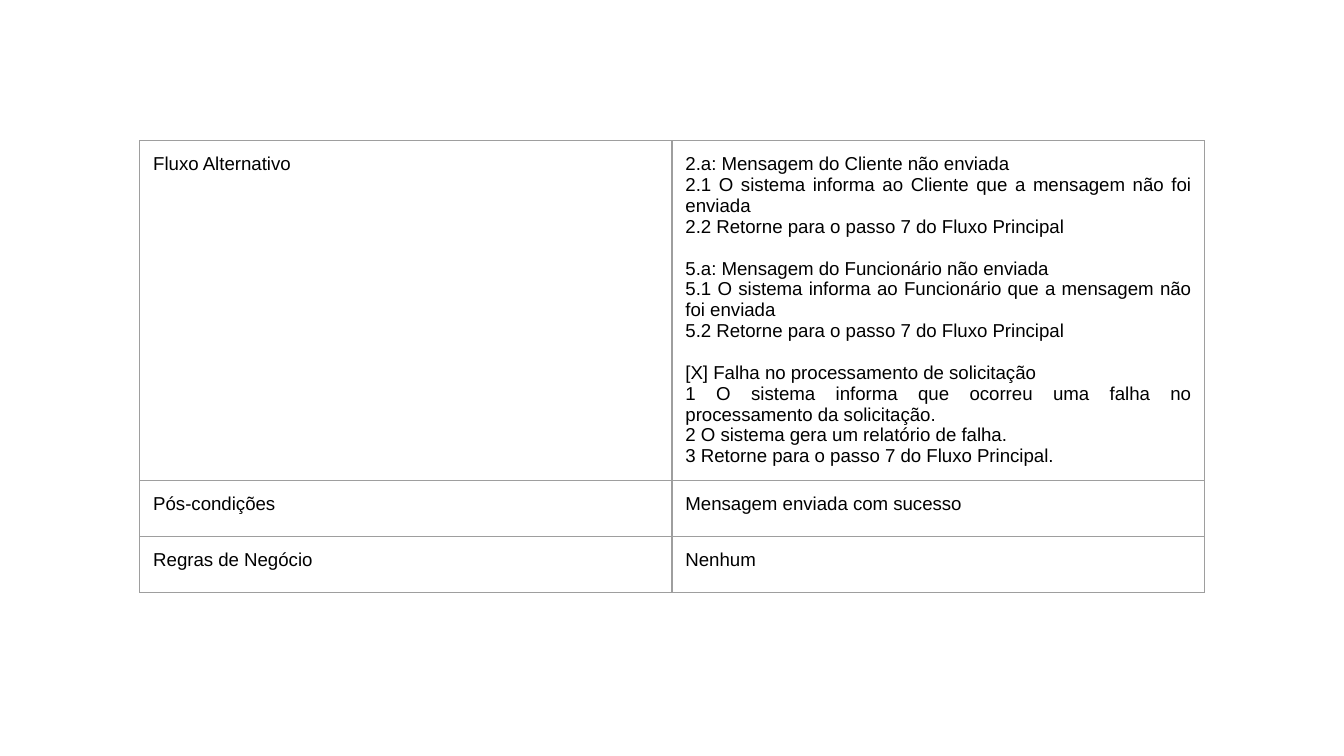
import pptx
import pptx.util
import pptx.dml.color
import pptx.enum.text
import pptx.oxml
import pptx.oxml.ns
import lxml.etree

COLORS = {"text": "000000", "border": "9E9E9E"}
FONT = {"name": "Arial", "size": pptx.util.Pt(10)}
MARGINS = {f"margin_{side}": pptx.util.Inches(0.1)
           for side in ("left", "right", "top", "bottom")}
LINE = pptx.util.Pt(11.2)

# Each row: share of the slide height, label, groups of lines set apart by one line
ROWS = [
    (0.449, "Fluxo Alternativo", [
        ["2.a: Mensagem do Cliente não enviada",
         "2.1 O sistema informa ao Cliente que a mensagem não foi enviada",
         "2.2 Retorne para o passo 7 do Fluxo Principal"],
        ["5.a: Mensagem do Funcionário não enviada",
         "5.1 O sistema informa ao Funcionário que a mensagem não foi enviada",
         "5.2 Retorne para o passo 7 do Fluxo Principal"],
        ["[X] Falha no processamento de solicitação",
         "1 O sistema informa que ocorreu uma falha no processamento da solicitação.",
         "2 O sistema gera um relatório de falha.",
         "3 Retorne para o passo 7 do Fluxo Principal."],
    ]),
    (0.074, "Pós-condições", [["Mensagem enviada com sucesso"]]),
    (0.074, "Regras de Negócio", [["Nenhum"]]),
]


def add_borders(cell):
    tcPr = cell._tc.get_or_add_tcPr()
    for i, side in enumerate(("lnL", "lnR", "lnT", "lnB")):
        ln = lxml.etree.Element(pptx.oxml.ns.qn(f"a:{side}"), w=str(pptx.util.Pt(0.75)))
        fill = lxml.etree.SubElement(ln, pptx.oxml.ns.qn("a:solidFill"))
        lxml.etree.SubElement(fill, pptx.oxml.ns.qn("a:srgbClr"), val=COLORS["border"])
        tcPr.insert(i, ln)


def fill_cell(cell, groups, align):
    cell.fill.background()
    for name, value in MARGINS.items():
        setattr(cell, name, value)
    add_borders(cell)
    tf = cell.text_frame
    for g, group in enumerate(groups):
        for n, line in enumerate(group):
            p = tf.paragraphs[0] if g == n == 0 else tf.add_paragraph()
            p.alignment = align
            if g and n == 0:
                p.space_before = LINE
            r = p.add_run()
            r.text = line
            for name, value in FONT.items():
                setattr(r.font, name, value)
            r.font.color.rgb = pptx.dml.color.RGBColor.from_string(COLORS["text"])


# Slide, 16:9
prs = pptx.Presentation()
prs.slide_width = pptx.util.Inches(10)
prs.slide_height = prs.slide_width * 9 // 16
s = prs.slides.add_slide(prs.slide_layouts[6])

# Two equal columns, centred on the slide
col = int(prs.slide_width * 0.396)
left = (prs.slide_width - 2 * col) // 2
top = int(prs.slide_height * 0.186)
heights = [int(prs.slide_height * share) for share, label, groups in ROWS]
table = s.shapes.add_table(len(ROWS), 2, left, top, 2 * col, sum(heights)).table
table.first_row = table.horz_banding = False
for column in table.columns:
    column.width = col

# Rows
for i, (share, label, groups) in enumerate(ROWS):
    table.rows[i].height = heights[i]
    fill_cell(table.cell(i, 0), [[label]], pptx.enum.text.PP_ALIGN.LEFT)
    fill_cell(table.cell(i, 1), groups, pptx.enum.text.PP_ALIGN.JUSTIFY)

prs.save("out.pptx")
